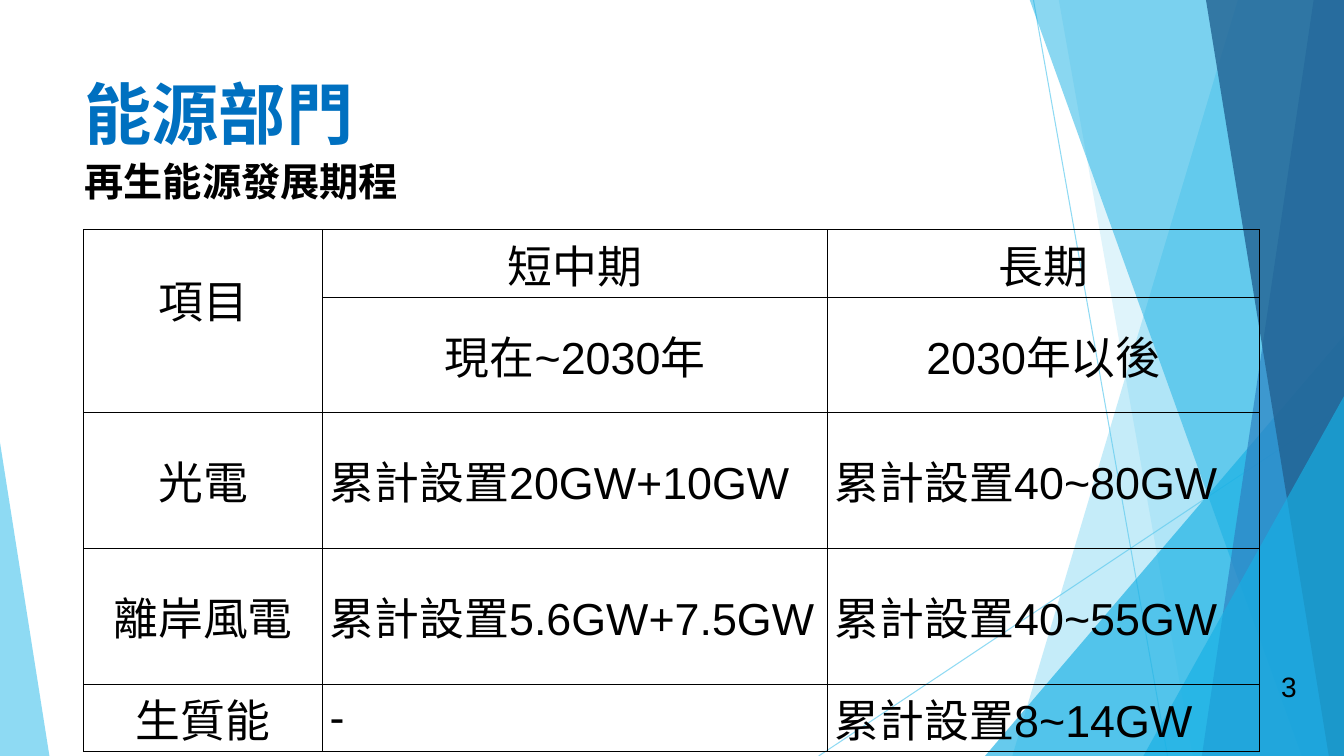
from collections import namedtuple
from dataclasses import dataclass

from pptx import Presentation
from pptx.dml.color import RGBColor
from pptx.enum.shapes import MSO_CONNECTOR as Connector, MSO_SHAPE as Shape
from pptx.enum.text import MSO_ANCHOR as Anchor, PP_ALIGN as Align
from pptx.oxml.ns import qn
from pptx.oxml.xmlchemy import OxmlElement
from pptx.util import Pt

PX = 9144  # one px is a hundredth of an inch

Box = namedtuple("Box", "left top width height")
PAGE = Box(0, 0, 1333, 750)


@dataclass(frozen=True)
class Theme:
    font: str = "Arial"
    ink: str = "000000"
    heading: str = "0070C0"
    sky: str = "5FCBEF"
    cyan: str = "17B0E4"
    blue: str = "2E83C3"
    navy: str = "226292"
    title_size: int = 48
    subtitle_size: int = 28
    table_size: int = 32
    number_size: int = 20


THEME = Theme()

COLUMNS = (237, 501, 428)
ROWS = (67, 114, 135, 135, 67)
SCHEDULE = (
    ("項目", "短中期", "長期"),
    ("", "現在~2030年", "2030年以後"),
    ("光電", "累計設置20GW+10GW", "累計設置40~80GW"),
    ("離岸風電", "累計設置5.6GW+7.5GW", "累計設置40~55GW"),
    ("生質能", "-", "累計設置8~14GW"),
)
HEADER_ROWS = 2

# Kind, geometry, colour and opacity in percent, from back to front.
# A slab gives the top and bottom x of its slanted left edge;
# a triangle gives left, top, width and the apex position.
FACETS = (
    ("slab", (1228, 1004), THEME.sky, 36),
    ("slab", (1050, 1183), THEME.sky, 20),
    ("triangle", (977, 333, 356, 1), THEME.cyan, 66),
    ("slab", (1021, 1291), THEME.cyan, 50),
    ("slab", (1303, 1192), THEME.blue, 70),
    ("slab", (1196, 1318), THEME.navy, 80),
    ("triangle", (1134, 393, 199, 1), THEME.cyan, 66),
    ("triangle", (0, 439, 49, 0), THEME.sky, 70),
)
RAYS = ((1025, 0, 1158, 750), (1333, 403, 812, 750))


def px(*lengths):
    return [length * PX for length in lengths]


def set_format(target, values):
    for name, value in values.items():
        setattr(target, name, value)


def set_opacity(shape, percent):
    for color in shape._element.iter(qn("a:srgbClr")):
        alpha = OxmlElement("a:alpha")
        alpha.set("val", str(percent * 1000))
        color.append(alpha)


def write(frame, text, size, color=THEME.ink, bold=False, align=Align.LEFT):
    para = frame.paragraphs[0]
    para.alignment = align
    span = para.add_run()
    span.text = text
    set_format(span.font, {"name": THEME.font, "size": Pt(size), "bold": bold})
    span.font.color.rgb = RGBColor.from_string(color)


def add_text(page, box, text, size, anchor=Anchor.TOP, **style):
    frame = page.shapes.add_textbox(*px(*box)).text_frame
    set_format(frame, {"word_wrap": True, "vertical_anchor": anchor})
    write(frame, text, size, **style)


def add_ray(page, box, ends):
    x1, y1, x2, y2 = ends
    ray = page.shapes.add_connector(
        Connector.STRAIGHT,
        *px(box.left + x1, box.top + y1, box.left + x2, box.top + y2))
    ray.line.width = Pt(0.75)
    ray.line.color.rgb = RGBColor.from_string(THEME.sky)
    ray._element.spPr.append(OxmlElement("a:effectLst"))
    set_opacity(ray, 70)


def add_slab(page, box, top_x, bottom_x):
    right, bottom = box.left + box.width, box.top + box.height
    top = box.top - 1
    outline = page.shapes.build_freeform(box.left + top_x, top, scale=PX)
    outline.add_line_segments(
        [(right, top), (right, bottom), (box.left + bottom_x, bottom)])
    return outline.convert_to_shape()


def add_triangle(page, box, left, top, width, apex):
    triangle = page.shapes.add_shape(
        Shape.ISOSCELES_TRIANGLE,
        *px(box.left + left, box.top + top, width, box.height - top))
    triangle.adjustments[0] = apex
    return triangle


def add_backdrop(page, box):
    builders = {"slab": add_slab, "triangle": add_triangle}
    for ends in RAYS:
        add_ray(page, box, ends)
    for kind, geometry, color, opacity in FACETS:
        facet = builders[kind](page, box, *geometry)
        facet.shadow.inherit = False
        facet.line.fill.background()
        facet.fill.solid()
        facet.fill.fore_color.rgb = RGBColor.from_string(color)
        set_opacity(facet, opacity)


def add_borders(cell):
    properties = cell._tc.get_or_add_tcPr()
    for side in ("a:lnL", "a:lnR", "a:lnT", "a:lnB"):
        line = OxmlElement(side)
        line.set("w", str(Pt(1)))
        fill = OxmlElement("a:solidFill")
        color = OxmlElement("a:srgbClr")
        color.set("val", THEME.ink)
        fill.append(color)
        line.append(fill)
        properties.append(line)


def add_schedule(page, box):
    table = page.shapes.add_table(len(ROWS), len(COLUMNS), *px(*box)).table
    set_format(table, {"first_row": False, "horz_banding": False})
    for column, width in zip(table.columns, COLUMNS):
        column.width = width * PX
    for row, height in zip(table.rows, ROWS):
        row.height = height * PX
    for r, texts in enumerate(SCHEDULE):
        for c, text in enumerate(texts):
            cell = table.cell(r, c)
            add_borders(cell)
            cell.fill.background()
            set_format(cell, {
                "margin_left": 7 * PX, "margin_right": 7 * PX,
                "margin_top": 0, "margin_bottom": 0,
                "vertical_anchor": Anchor.MIDDLE})
            if text:
                centred = r < HEADER_ROWS or c == 0
                write(cell.text_frame, text, THEME.table_size,
                      align=Align.CENTER if centred else Align.LEFT)
    corner = table.cell(0, 0)
    corner.merge(table.cell(HEADER_ROWS - 1, 0))
    corner.margin_bottom = 44 * PX


def add_headings(page, box):
    add_text(page, Box(box.left, box.top, box.width, 144), "能源部門",
             THEME.title_size, color=THEME.heading, bold=True)


def add_subtitle(page, box):
    add_text(page, box, "再生能源發展期程", THEME.subtitle_size, bold=True)


def add_page_number(page, box):
    add_text(page, box, "3", THEME.number_size,
             anchor=Anchor.MIDDLE, align=Align.RIGHT)


def main():
    deck = Presentation()
    deck.slide_width, deck.slide_height = px(PAGE.width, PAGE.height)
    page = deck.slides.add_slide(deck.slide_layouts[6])
    add_backdrop(page, PAGE)
    add_headings(page, Box(74, 67, 940, 144))
    add_page_number(page, Box(1221, 661, 75, 40))
    add_schedule(page, Box(83, 228, sum(COLUMNS), sum(ROWS)))
    add_subtitle(page, Box(74, 151, 828, 57))
    deck.save("out.pptx")


if __name__ == "__main__":
    main()
